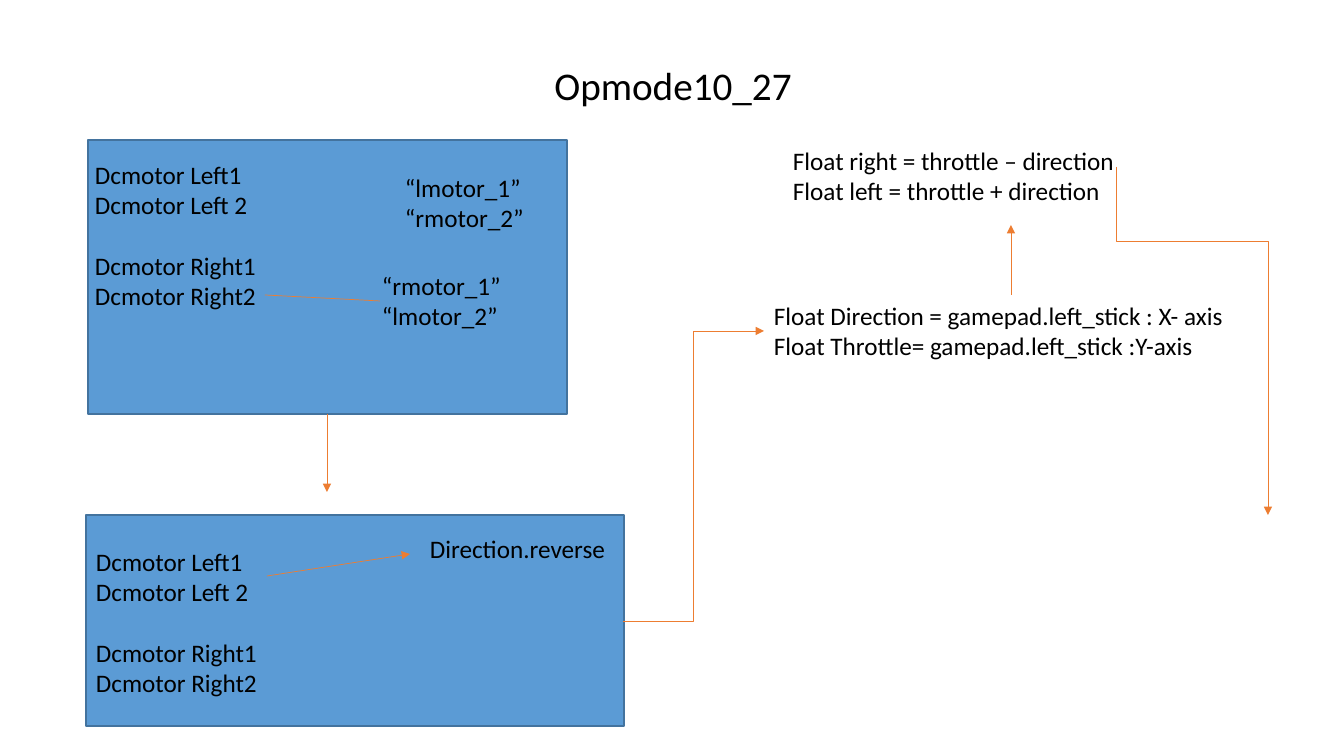
from dataclasses import dataclass

from lxml import etree
from pptx import Presentation
from pptx import util as u
from pptx.dml.color import RGBColor
from pptx.enum import shapes, text
from pptx.oxml import ns

EMU_PER_PX = 12192000 / 1344
FONT = "Calibri"
BLUE, NAVY, ORANGE, BLACK = "5B9BD5", "43739E", "ED7D31", "000000"
BLANK_LINE_PT = 22


@dataclass(frozen=True)
class Panel:
    left: int
    top: int
    width: int
    height: int


@dataclass(frozen=True)
class Label:
    left: int
    top: int
    width: int
    height: int
    groups: tuple[tuple[str, ...], ...]  # groups are set apart by one line
    size: int = 18
    centered: bool = False


@dataclass(frozen=True)
class Link:
    start: tuple[int, int]
    end: tuple[int, int]
    color: str = ORANGE
    arrow: bool = True
    bent: bool = False
    vertical_bend: float = 0  # share of the drop before the turn


MOTORS = (("Dcmotor Left1", "Dcmotor Left 2"), ("Dcmotor Right1", "Dcmotor Right2"))

PANELS = [Panel(86, 515, 538, 211), Panel(88, 140, 479, 274)]

LABELS = [
    Label(327, 56, 692, 57, (("Opmode10_27",),), size=28, centered=True),
    Label(85, 154, 282, 163, MOTORS),
    Label(395, 167, 226, 72, (("“lmotor_1”", "“rmotor_2”"),)),
    Label(372, 265, 226, 72, (("“rmotor_1”", "“lmotor_2”"),)),
    Label(86, 541, 205, 163, MOTORS),
    Label(420, 528, 223, 40, (("Direction.reverse",),)),
    Label(783, 140, 427, 72,
          (("Float right = throttle – direction", "Float left = throttle + direction"),)),
    Label(764, 295, 494, 72,
          (("Float Direction = gamepad.left_stick : X- axis",
            "Float Throttle= gamepad.left_stick :Y-axis"),)),
]

LINKS = [
    Link((267, 253), (395, 225), color=BLUE, arrow=False),
    Link((265, 295), (380, 301), arrow=False),
    Link((254, 576), (420, 559), color=BLUE, arrow=False),
    Link((327, 414), (327, 492)),
    Link((623, 621), (764, 331), bent=True),
    Link((267, 576), (410, 554)),
    Link((1011, 295), (1011, 225)),
    Link((1116, 167), (1268, 515), bent=True, vertical_bend=0.214),
]


def px(length: float) -> u.Emu:
    return u.Emu(round(length * EMU_PER_PX))


def rgb(value: str) -> RGBColor:
    return RGBColor.from_string(value)


def write(para, content: str, *, size: int, color: str = BLACK) -> None:
    span = para.add_run()
    span.text = content
    span.font.name = FONT
    span.font.size = u.Pt(size)
    span.font.color.rgb = rgb(color)


def draw_panel(page, panel: Panel) -> None:
    box = page.shapes.add_shape(
        shapes.MSO_SHAPE.RECTANGLE,
        px(panel.left), px(panel.top), px(panel.width), px(panel.height))
    box.shadow.inherit = False
    box.fill.solid()
    box.fill.fore_color.rgb = rgb(BLUE)
    box.line.color.rgb = rgb(NAVY)
    box.line.width = u.Pt(1)


def draw_label(page, label: Label) -> None:
    box = page.shapes.add_textbox(
        px(label.left), px(label.top), px(label.width), px(label.height))
    frame = box.text_frame
    frame.word_wrap = True
    frame.auto_size = text.MSO_AUTO_SIZE.SHAPE_TO_FIT_TEXT
    para = None
    for group_index, group in enumerate(label.groups):
        for line_index, content in enumerate(group):
            para = frame.paragraphs[0] if para is None else frame.add_paragraph()
            if group_index and not line_index:
                para.space_before = u.Pt(BLANK_LINE_PT)
            if label.centered:
                para.alignment = text.PP_ALIGN.CENTER
            write(para, content, size=label.size)


def draw_link(page, link: Link) -> None:
    (x1, y1), (x2, y2) = link.start, link.end
    if link.vertical_bend:
        # Lay the elbow on its side; a quarter turn then stands it up
        middle_x, middle_y = (x1 + x2) / 2, (y1 + y2) / 2
        half_run, half_drop = (x2 - x1) / 2, (y2 - y1) / 2
        x1, x2 = middle_x + half_drop, middle_x - half_drop
        y1, y2 = middle_y - half_run, middle_y + half_run
    kind = shapes.MSO_CONNECTOR.ELBOW if link.bent else shapes.MSO_CONNECTOR.STRAIGHT
    connector = page.shapes.add_connector(kind, px(x1), px(y1), px(x2), px(y2))
    connector.line.color.rgb = rgb(link.color)
    connector.line.width = u.Pt(0.5)
    properties = connector.element.spPr
    if link.arrow:
        etree.SubElement(properties.find(ns.qn("a:ln")), ns.qn("a:tailEnd"), type="triangle")
    if link.vertical_bend:
        properties.find(ns.qn("a:xfrm")).set("rot", str(270 * 60000))
        geometry = properties.find(ns.qn("a:prstGeom"))
        guides = geometry.find(ns.qn("a:avLst"))
        if guides is None:
            guides = etree.SubElement(geometry, ns.qn("a:avLst"))
        etree.SubElement(guides, ns.qn("a:gd"), name="adj1",
                         fmla=f"val {round(link.vertical_bend * 100000)}")
    etree.SubElement(properties, ns.qn("a:effectLst"))


def main() -> None:
    deck = Presentation()
    deck.slide_width, deck.slide_height = px(1344), px(756)
    page = deck.slides.add_slide(deck.slide_layouts[6])

    # Blue panels behind the motor lists
    for panel in PANELS:
        draw_panel(page, panel)

    # Title, motor lists and formulas
    for label in LABELS:
        draw_label(page, label)

    # Lines and arrows of the flow
    for link in LINKS:
        draw_link(page, link)

    deck.save("out.pptx")


if __name__ == "__main__":
    main()
